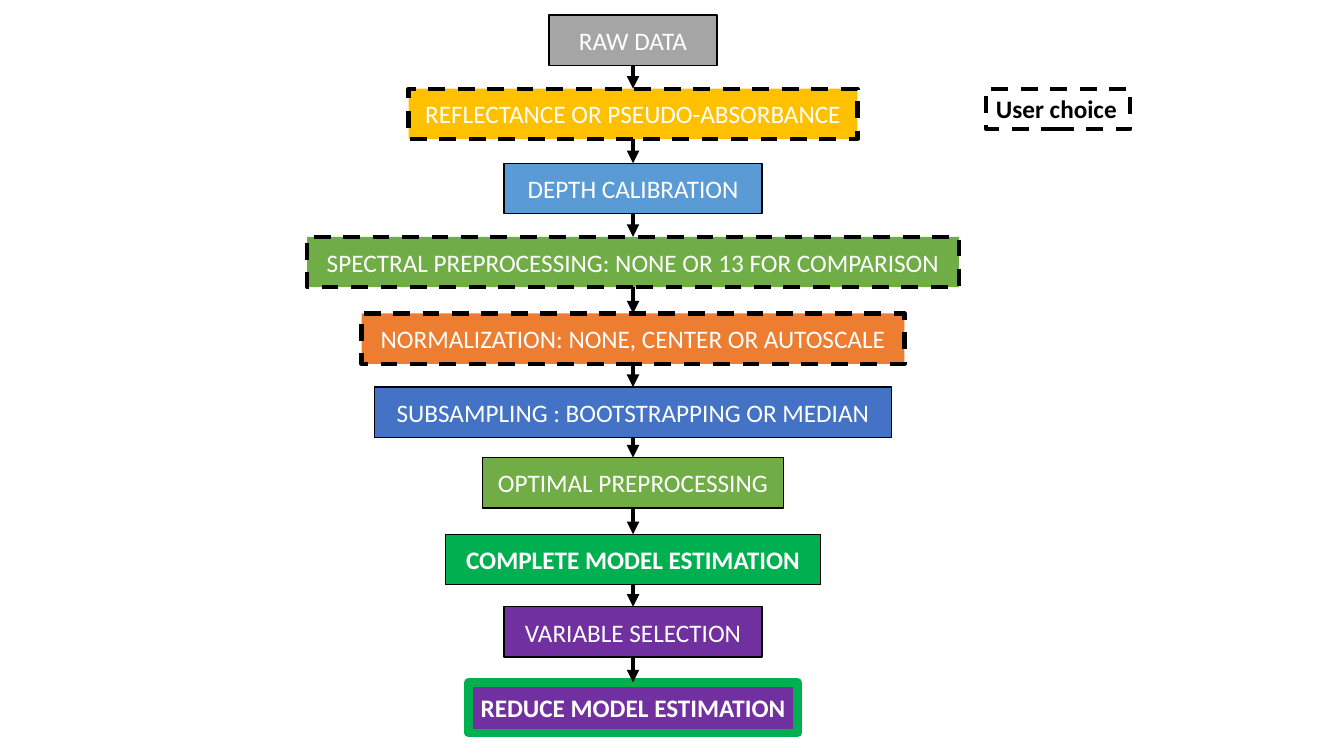
"""Build a flowchart slide of the spectral modelling steps, with a key for user choices."""
from lxml.etree import SubElement
from pptx import Presentation
from pptx.dml.color import RGBColor
from pptx.enum.dml import MSO_LINE
from pptx.enum.shapes import MSO_CONNECTOR, MSO_SHAPE
from pptx.enum.text import MSO_ANCHOR, PP_ALIGN
from pptx.oxml.ns import qn
from pptx.util import Inches, Pt

BLACK = RGBColor(0x00, 0x00, 0x00)
WHITE = RGBColor(0xFF, 0xFF, 0xFF)
GRAY = RGBColor(0xA5, 0xA5, 0xA5)
GOLD = RGBColor(0xFF, 0xC0, 0x00)
SKY = RGBColor(0x5B, 0x9B, 0xD5)
OLIVE = RGBColor(0x70, 0xAD, 0x47)
ORANGE = RGBColor(0xED, 0x7D, 0x31)
BLUE = RGBColor(0x44, 0x72, 0xC4)
GREEN = RGBColor(0x00, 0xB0, 0x50)
PURPLE = RGBColor(0x70, 0x30, 0xA0)

deck = Presentation()
deck.slide_width, deck.slide_height = Inches(13.33), Inches(7.5)
page = deck.slides.add_slide(deck.slide_layouts[6])
COLUMN = deck.slide_width / 100
ROW = deck.slide_height / 15
FLOW_CENTER = 47.1


def add_box(text, center, top, width, height, fill, line, weight, color, bold):
    box = page.shapes.add_shape(
        MSO_SHAPE.RECTANGLE, round((center - width / 2) * COLUMN), round(top * ROW),
        round(width * COLUMN), round(height * ROW))
    box.shadow.inherit = False
    if fill is None:
        box.fill.background()
    else:
        box.fill.solid()
        box.fill.fore_color.rgb = fill
    box.line.color.rgb = line
    box.line.width = Pt(weight)
    if weight == 3:
        box.line.dash_style = MSO_LINE.DASH
    box.text_frame.word_wrap = True
    box.text_frame.vertical_anchor = MSO_ANCHOR.MIDDLE
    para = box.text_frame.paragraphs[0]
    para.alignment = PP_ALIGN.CENTER
    span = para.add_run()
    span.text = text
    span.font.name, span.font.size = "Calibri", Pt(18)
    span.font.bold = bold
    span.font.color.rgb = color
    return box


def add_arrow(start, end):
    x = round(FLOW_CENTER * COLUMN)
    arrow = page.shapes.add_connector(
        MSO_CONNECTOR.STRAIGHT, x, round(start * ROW), x, round(end * ROW))
    arrow.line.color.rgb = BLACK
    arrow.line.width = Pt(3)
    SubElement(arrow.line._get_or_add_ln(), qn("a:tailEnd"), type="triangle")
    SubElement(arrow._element.spPr, qn("a:effectLst"))


steps = [
    ("RAW DATA", 0.3, 12.5, GRAY, BLACK, 1, False),
    ("REFLECTANCE OR PSEUDO-ABSORBANCE", 1.76, 33.4, GOLD, BLACK, 3, False),
    ("DEPTH CALIBRATION", 3.24, 19.2, SKY, BLACK, 1, False),
    ("SPECTRAL PREPROCESSING: NONE OR 13 FOR COMPARISON", 4.7, 48.5, OLIVE, BLACK, 3, False),
    ("NORMALIZATION: NONE, CENTER OR AUTOSCALE", 6.22, 40.4, ORANGE, BLACK, 3, False),
    ("SUBSAMPLING : BOOTSTRAPPING OR MEDIAN", 7.68, 38.5, BLUE, BLACK, 1, False),
    ("OPTIMAL PREPROCESSING", 9.08, 22.4, OLIVE, BLACK, 1, False),
    ("COMPLETE MODEL ESTIMATION", 10.6, 27.9, GREEN, BLACK, 1, True),
    ("VARIABLE SELECTION", 12.04, 19.2, PURPLE, BLACK, 1, False),
    ("REDUCE MODEL ESTIMATION", 13.54, 24.5, PURPLE, GREEN, 6, True),
]
for text, top, width, fill, line, weight, bold in steps:
    add_box(text, FLOW_CENTER, top, width, 1, fill, line, weight, WHITE, bold)
for upper, lower in zip(steps, steps[1:]):
    add_arrow(upper[1] + 1, lower[1])

choice_key = add_box("User choice", 78.73, 1.76, 10.73, 0.8, None, BLACK, 3, BLACK, True)
choice_key.text_frame.vertical_anchor = MSO_ANCHOR.TOP
choice_key.text_frame.paragraphs[0].alignment = PP_ALIGN.LEFT

deck.save("out.pptx")
